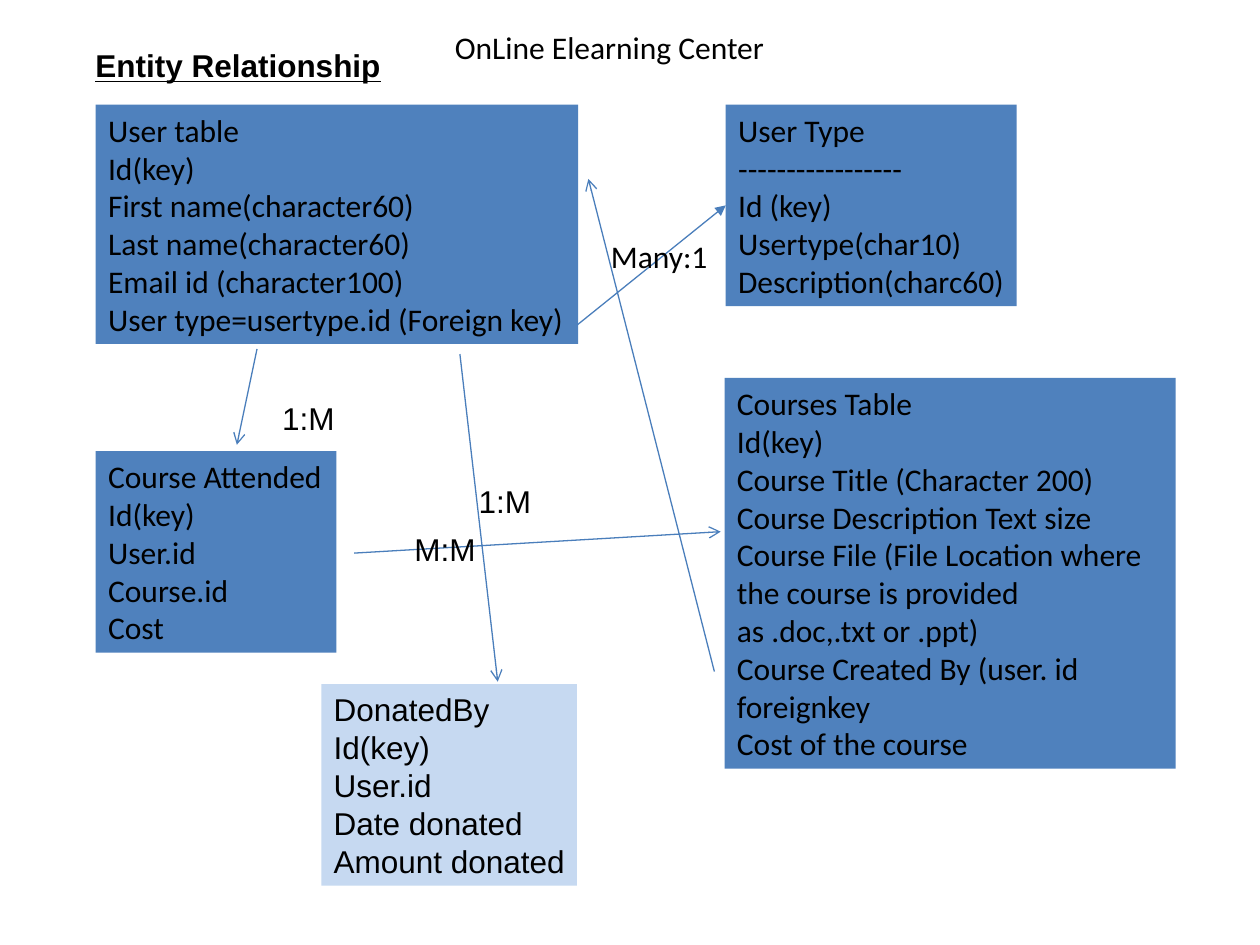
from dataclasses import dataclass

from lxml import etree
from pptx import Presentation
from pptx.dml.color import RGBColor
from pptx.enum.shapes import MSO_CONNECTOR, MSO_SHAPE
from pptx.enum.text import MSO_ANCHOR, MSO_AUTO_SIZE, PP_ALIGN
from pptx.oxml.ns import qn
from pptx.util import Inches, Pt

RECTANGLE = MSO_SHAPE.RECTANGLE
STRAIGHT = MSO_CONNECTOR.STRAIGHT
LEFT = PP_ALIGN.LEFT
TOP = MSO_ANCHOR.TOP
FIT_SHAPE = MSO_AUTO_SIZE.SHAPE_TO_FIT_TEXT
LEFT_SIDE = 1

COLORS = {"entity": "4F81BD", "donation": "C6D9F1", "arrow": "4A7EBB", "text": "000000"}
LABEL_HEIGHT = 0.4


@dataclass
class Entity:
    left: float
    top: float
    width: float
    height: float
    lines: list[str]
    fill: str = "entity"
    font: str = "Calibri"
    wrap: bool = False


@dataclass
class Label:
    text: str
    left: float
    top: float
    width: float
    font: str = "Arial"
    heading: bool = False


@dataclass
class Arrow:
    start: tuple[float, float]
    end: tuple[float, float]
    head: str = "arrow"
    target: str = ""


TITLE = Label("OnLine Elearning Center", 3.51, 0.17, 2.66, "Calibri")

ENTITIES = {
    "user type": Entity(5.76, 0.83, 2.31, 1.6, [
        "User Type", "-----------------", "Id (key)", "Usertype(char10)",
        "Description(charc60)"]),
    "user": Entity(0.76, 0.83, 3.83, 1.9, [
        "User table", "Id(key)", "First name(character60)", "Last name(character60)",
        "Email id (character100)", "User type=usertype.id (Foreign key)"]),
    "courses": Entity(5.75, 3, 3.58, 3.1, [
        "Courses Table", "Id(key)", "Course Title (Character 200)",
        "Course Description Text size",
        "Course File (File Location where the course is provided as .doc,.txt or .ppt)",
        "Course Created By (user. id foreignkey", "Cost of the course"], wrap=True),
    "attended": Entity(0.76, 3.58, 1.91, 1.6, [
        "Course Attended", "Id(key)", "User.id", "Course.id", "Cost"]),
    "donated": Entity(2.55, 5.43, 2.03, 1.6, [
        "DonatedBy", "Id(key)", "User.id", "Date donated", "Amount donated"],
        fill="donation", font="Arial"),
}

ARROWS = [
    Arrow((4.58, 2.58), (5.75, 1.64), "triangle", "user type"),
    Arrow((5.67, 5.33), (4.67, 1.42)),
    Arrow((3.65, 2.81), (3.95, 5.41)),
    Arrow((2.04, 2.77), (1.88, 3.53)),
    Arrow((2.81, 4.39), (5.72, 4.22)),
]

LABELS = [
    Label("Many:1", 4.75, 1.83, 0.97, "Calibri"),
    Label("1:M", 3.7, 3.78, 0.61),
    Label("1:M", 2.14, 3.12, 0.61),
    Label("M:M", 3.19, 4.16, 0.68),
    Label("Entity Relationship", 0.66, 0.32, 2.46, heading=True),
]


def color(name: str) -> RGBColor:
    return RGBColor.from_string(COLORS[name])


def write_lines(shape, lines: list[str], font: str, wrap: bool = False,
                heading: bool = False) -> None:
    """Write one paragraph per line; unwrapped text gets spare room on its right."""
    frame = shape.text_frame
    frame.word_wrap = wrap
    frame.auto_size = FIT_SHAPE
    frame.vertical_anchor = TOP
    if not wrap:
        frame.margin_right = Inches(0.05)
    for index, line in enumerate(lines):
        para = frame.add_paragraph() if index else frame.paragraphs[0]
        para.alignment = LEFT
        run = para.add_run()
        run.text = line
        run.font.name = font
        run.font.size = Pt(18)
        run.font.color.rgb = color("text")
        if heading:
            run.font.bold = True
            run.font.underline = True


def place_title(slide, label: Label) -> None:
    title = slide.shapes.title
    title.left, title.top = Inches(label.left), Inches(label.top)
    title.width, title.height = Inches(label.width), Inches(LABEL_HEIGHT)
    write_lines(title, [label.text], label.font)


def add_entity(slide, entity: Entity):
    box = slide.shapes.add_shape(
        RECTANGLE, Inches(entity.left), Inches(entity.top),
        Inches(entity.width), Inches(entity.height))
    box.shadow.inherit = False
    box.fill.solid()
    box.fill.fore_color.rgb = color(entity.fill)
    box.line.fill.background()
    write_lines(box, entity.lines, entity.font, entity.wrap)
    return box


def add_label(slide, label: Label) -> None:
    box = slide.shapes.add_textbox(
        Inches(label.left), Inches(label.top), Inches(label.width), Inches(LABEL_HEIGHT))
    write_lines(box, [label.text], label.font, heading=label.heading)


def add_arrow(slide, arrow: Arrow, boxes: dict) -> None:
    points = [Inches(value) for value in arrow.start + arrow.end]
    connector = slide.shapes.add_connector(STRAIGHT, *points)
    if arrow.target:
        connector.end_connect(boxes[arrow.target], LEFT_SIDE)
    connector.line.color.rgb = color("arrow")
    connector.line.width = Pt(0.75)
    etree.SubElement(connector.line._get_or_add_ln(), qn("a:tailEnd"), type=arrow.head)
    etree.SubElement(connector._element.spPr, qn("a:effectLst"))


def main() -> None:
    deck = Presentation()
    deck.slide_width, deck.slide_height = Inches(10), Inches(7.5)
    title_only = deck.slide_layouts[5]
    slide = deck.slides.add_slide(title_only)

    place_title(slide, TITLE)
    boxes = {name: add_entity(slide, entity) for name, entity in ENTITIES.items()}
    for arrow in ARROWS:
        add_arrow(slide, arrow, boxes)
    for label in LABELS:
        add_label(slide, label)

    deck.save("out.pptx")


if __name__ == "__main__":
    main()
